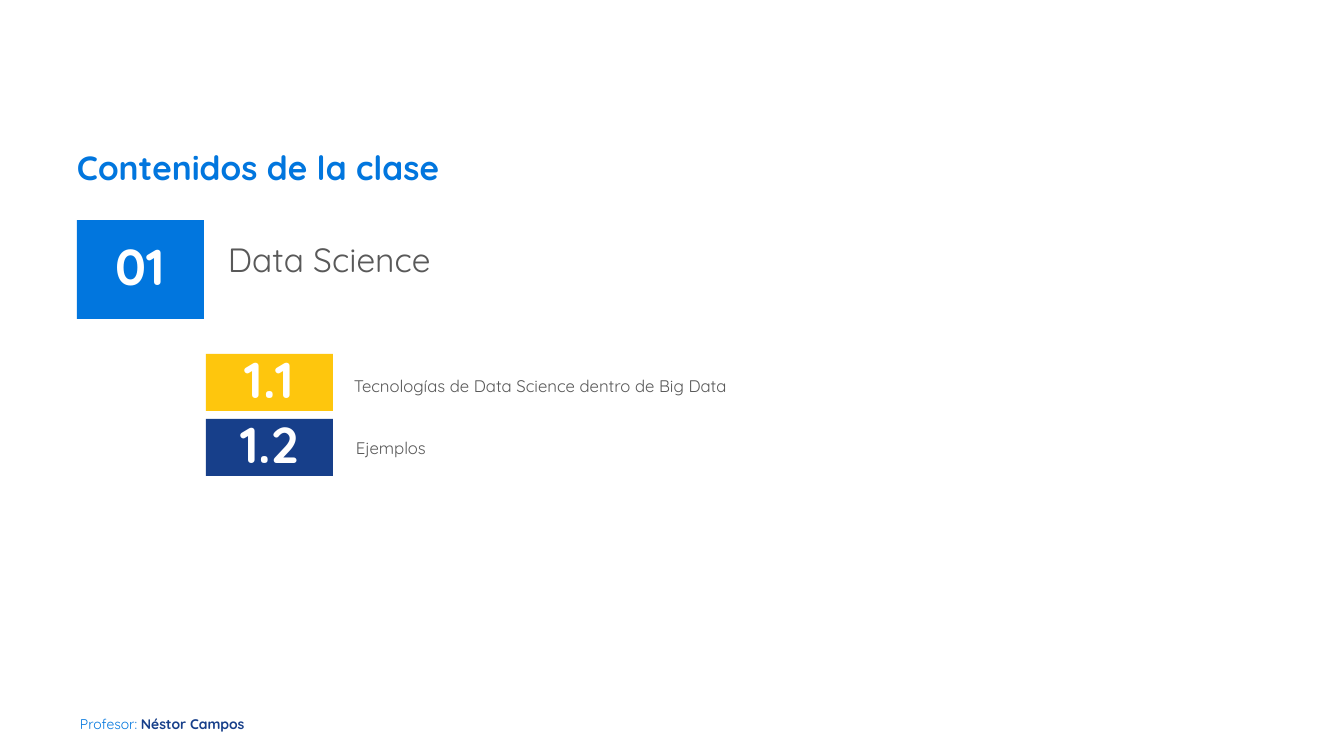
from pptx import Presentation
from pptx.util import Pt
from pptx.dml.color import RGBColor
from pptx.enum.shapes import MSO_SHAPE as Shape
from pptx.enum.text import PP_ALIGN as Align, MSO_ANCHOR as Anchor, MSO_AUTO_SIZE as Fit

# Content
TITLE = "Contenidos de la clase"
FOOT = [("Profesor: ", "blue", False), ("Néstor Campos", "navy", True)]
# number, fill, number box, label, label box, label size
ROWS = [
    ("01", "blue", (77, 220, 127, 99), "Data Science", (204, 220, 1064, 99), 24),
    ("1.1", "gold", (206, 354, 127, 57),
     "Tecnologías de Data Science dentro de Big Data", (330, 349, 626, 74), 12),
    ("1.2", "navy", (206, 419, 127, 57), "Ejemplos", (332, 411, 626, 74), 12),
]
COLORS = {"blue": "0176DE", "navy": "173F8A", "gold": "FEC60D",
          "white": "FFFFFF", "gray": "595959"}
FONT = "Quicksand"
PX = 914400 / 100.8


def emu(box):
    return [round(v * PX) for v in box]


def color(name):
    return RGBColor.from_string(COLORS[name])


def style(run, size, tint, bold=False):
    font = run.font
    font.name, font.size, font.bold = FONT, Pt(size), bold
    font.color.rgb = color(tint)


def setup(frame, inset, anchor):
    frame.word_wrap = True
    frame.auto_size = Fit.NONE
    frame.vertical_anchor = anchor
    frame.margin_left = frame.margin_right = round(inset[0] * PX)
    frame.margin_top = frame.margin_bottom = round(inset[1] * PX)


def write(frame, text, size, tint, bold, line, align=Align.LEFT):
    frame.text = text
    para = frame.paragraphs[0]
    para.alignment, para.line_spacing = align, line
    para.space_before = Pt(0)
    style(para.runs[0], size, tint, bold)


def block(slide, box, fill, inset):
    shape = slide.shapes.add_shape(Shape.RECTANGLE, *emu(box))
    shape.shadow.inherit = False
    shape.fill.solid()
    shape.fill.fore_color.rgb = color(fill)
    shape.line.fill.background()
    setup(shape.text_frame, inset, Anchor.MIDDLE)
    return shape.text_frame


def main():
    deck = Presentation()
    deck.slide_width, deck.slide_height = emu((1344, 756))
    slide = deck.slides.add_slide(deck.slide_layouts[5])

    # Title
    title = slide.shapes.title
    title.left, title.top, title.width, title.height = emu((77, 151, 1190, 69))
    setup(title.text_frame, (0, 0), Anchor.TOP)
    write(title.text_frame, TITLE, 24, "blue", True, Pt(26))

    # Numbered rows: each number lies over its label
    for num, fill, spot, label, area, size in ROWS:
        frame = block(slide, area, "white", (24, 24))
        write(frame, label, size, "gray", False, Pt(14))
        frame = block(slide, spot, fill, (10, 5))
        write(frame, num, 36, "white", True, 0.9, Align.CENTER)

    # Footer
    foot = slide.shapes.add_textbox(*emu((80, 702, 202, 26))).text_frame
    setup(foot, (0, 0), Anchor.TOP)
    para = foot.paragraphs[0]
    para.line_spacing = Pt(22)
    for text, tint, bold in FOOT:
        run = para.add_run()
        run.text = text
        style(run, 10, tint, bold)

    deck.save("out.pptx")


if __name__ == "__main__":
    main()
